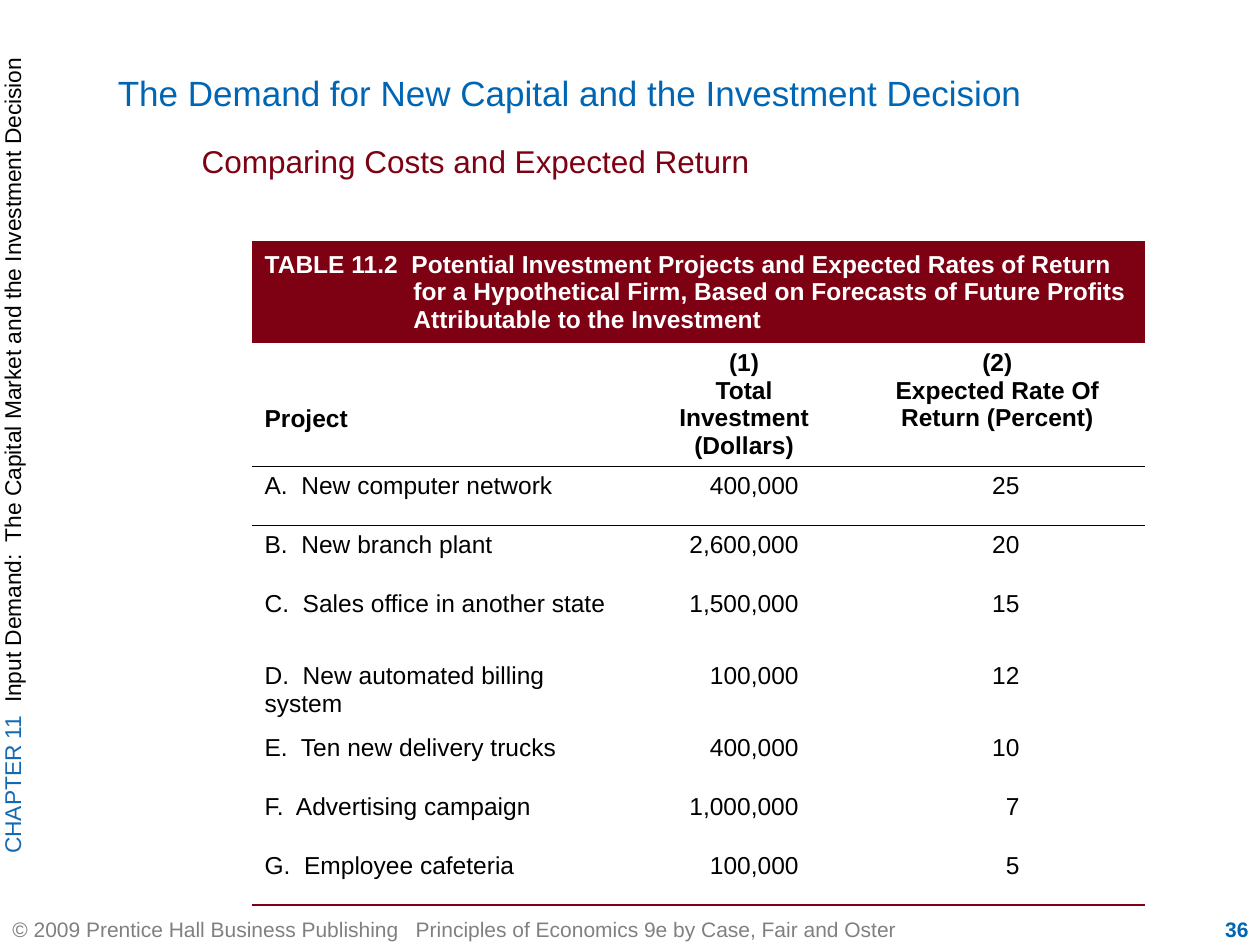
from dataclasses import dataclass

from lxml.etree import SubElement
from pptx import Presentation
from pptx.dml.color import RGBColor
from pptx.enum.text import MSO_ANCHOR as Anchor, MSO_AUTO_SIZE as AutoSize, PP_ALIGN as Align
from pptx.oxml.ns import qn
from pptx.util import Cm, Pt


@dataclass(frozen=True)
class Theme:
    font: str = "Arial"
    blue: str = "0066B3"
    chapter_blue: str = "1469B2"
    maroon: str = "7D0013"
    black: str = "000000"
    gray: str = "808080"
    white: str = "FFFFFF"
    title_size: int = 20
    subtitle_size: int = 18
    table_size: int = 14
    chapter_size: int = 13
    footer_size: int = 12


THEME = Theme()

CHAPTER = [
    ("CHAPTER 11  ", THEME.chapter_blue),
    ("Input Demand:  The Capital Market and the Investment Decision", THEME.black),
]
TITLE = "The Demand for New Capital and the Investment Decision"
SUBTITLE = "Comparing Costs and Expected Return"
FOOTER = ("© 2009 Prentice Hall Business Publishing   "
          "Principles of Economics 9e by Case, Fair and Oster")
PAGE_NUMBER = "36"

CAPTION = ("TABLE 11.2  Potential Investment Projects and Expected Rates of Return "
           "for a Hypothetical Firm, Based on Forecasts of Future Profits "
           "Attributable to the Investment")
HEADERS = ["Project", "(1)\vTotal Investment\v(Dollars)", "",
           "(2)\vExpected Rate Of\vReturn (Percent)"]
PROJECTS = [
    ("A.  New computer network", "400,000", "25"),
    ("B.  New branch plant", "2,600,000", "20"),
    ("C.  Sales office in another state", "1,500,000", "15"),
    ("D.  New automated billing system", "100,000", "12"),
    ("E.  Ten new delivery trucks", "400,000", "10"),
    ("F.  Advertising campaign", "1,000,000", "7"),
    ("G.  Employee cafeteria", "100,000", "5"),
]

COLUMN_WIDTHS = [7.8, 4.24, 0.61, 5.36]
CAPTION_HEIGHT, HEADER_HEIGHT = 2.06, 2.46
PROJECT_HEIGHT, WRAPPED_HEIGHT = 1.19, 1.45
WRAP_LENGTH = 32  # a project name this long takes two lines
ROW_HEIGHTS = [CAPTION_HEIGHT, HEADER_HEIGHT] + [
    WRAPPED_HEIGHT if len(name) >= WRAP_LENGTH else PROJECT_HEIGHT
    for name, _, _ in PROJECTS]
TABLE_LEFT, TABLE_TOP = 5.08, 4.86
HANGING_INDENT = 3.0
NO_STYLE_NO_GRID = "{2D5ABB26-0587-4C30-8999-92F81FD0307C}"


def style(paragraph, size, color=None, bold=False, align=Align.LEFT):
    paragraph.alignment = align
    paragraph.space_before = paragraph.space_after = Pt(0)
    font = paragraph.font
    font.name, font.size, font.bold = THEME.font, Pt(size), bold
    if color:
        font.color.rgb = RGBColor.from_string(color)


def place(shape, left, top, width, height):
    shape.left, shape.top, shape.width, shape.height = map(Cm, (left, top, width, height))


def set_hanging(paragraph, margin, indent):
    properties = paragraph._p.get_or_add_pPr()
    properties.set("marL", str(Cm(margin)))
    properties.set("indent", str(Cm(indent)))


def fill_text(shape, text, size, color, anchor, **options):
    frame = shape.text_frame
    frame.word_wrap, frame.auto_size = True, AutoSize.NONE
    frame.vertical_anchor = anchor
    frame.text = text
    style(frame.paragraphs[0], size, color, **options)
    return frame


def add_text(slide, box, *args, **options):
    return fill_text(slide.shapes.add_textbox(*map(Cm, box)), *args, **options)


def add_headings(slide):
    title = slide.shapes.title
    place(title, 2.12, 0, 23.28, 2.54)
    frame = fill_text(title, TITLE, THEME.title_size, THEME.blue, Anchor.BOTTOM)
    frame.margin_bottom = Cm(0.25)

    subtitle = slide.placeholders[1]
    place(subtitle, 3.81, 2.74, 20.52, 1.07)
    frame = fill_text(subtitle, SUBTITLE, THEME.subtitle_size, THEME.maroon, Anchor.TOP)
    paragraph = frame.paragraphs[0]
    set_hanging(paragraph, 0, 0)
    SubElement(paragraph._p.get_or_add_pPr(), qn("a:buNone"))


def add_chapter_strip(slide):
    """Chapter name along the left edge, reading upwards."""
    frame = add_text(slide, (-0.03, 0.2, 1.04, 17.98), "", THEME.chapter_size, None,
                     Anchor.TOP, align=Align.CENTER)
    frame.margin_left = frame.margin_right = 0
    frame._txBody.bodyPr.set("vert", "vert270")
    for text, color in CHAPTER:
        run = frame.paragraphs[0].add_run()
        run.text = text
        run.font.color.rgb = RGBColor.from_string(color)


def set_cell(cell, text, color=THEME.black, anchor=Anchor.TOP, **options):
    cell.text = text
    cell.vertical_anchor = anchor
    cell.fill.background()
    style(cell.text_frame.paragraphs[0], THEME.table_size, color, **options)


def rule_row(table, row, side, color, width):
    for column in range(len(table.columns)):
        properties = table.cell(row, column)._tc.get_or_add_tcPr()
        line = SubElement(properties, qn(f"a:{side}"), w=str(Pt(width)))
        solid = SubElement(line, qn("a:solidFill"))
        SubElement(solid, qn("a:srgbClr"), val=color)
        properties.insert(0, line)  # borders come before the fill


def add_project_table(slide):
    row_count, column_count = len(ROW_HEIGHTS), len(COLUMN_WIDTHS)
    table = slide.shapes.add_table(
        row_count, column_count, Cm(TABLE_LEFT), Cm(TABLE_TOP),
        Cm(sum(COLUMN_WIDTHS)), Cm(sum(ROW_HEIGHTS))).table
    table.first_row = table.horz_banding = False
    table._tbl.tblPr.find(qn("a:tableStyleId")).text = NO_STYLE_NO_GRID
    for column, width in zip(table.columns, COLUMN_WIDTHS):
        column.width = Cm(width)
    for row, height in zip(table.rows, ROW_HEIGHTS):
        row.height = Cm(height)

    caption = table.cell(0, 0)
    caption.merge(table.cell(0, column_count - 1))
    set_cell(caption, CAPTION, THEME.white, Anchor.MIDDLE, bold=True)
    caption.fill.solid()
    caption.fill.fore_color.rgb = RGBColor.from_string(THEME.maroon)
    set_hanging(caption.text_frame.paragraphs[0], HANGING_INDENT, -HANGING_INDENT)

    project, investment, rate = (table.cell(1, column) for column in range(3))
    rate.merge(table.cell(1, 3))
    set_cell(project, HEADERS[0], anchor=Anchor.BOTTOM, bold=True)
    project.margin_bottom = Cm(0.68)
    set_cell(investment, HEADERS[1], bold=True, align=Align.CENTER)
    set_cell(rate, HEADERS[3], bold=True, align=Align.CENTER)

    for row, (name, dollars, percent) in enumerate(PROJECTS, start=2):
        set_cell(table.cell(row, 0), name)
        set_cell(table.cell(row, 2), "")
        for column, value, margin in ((1, dollars, 1.02), (3, percent, 2.54)):
            cell = table.cell(row, column)
            set_cell(cell, value, align=Align.RIGHT)
            cell.margin_right = Cm(margin)

    rule_row(table, 1, "lnB", THEME.black, 0.45)
    rule_row(table, 2, "lnT", THEME.black, 0.45)
    rule_row(table, row_count - 1, "lnB", THEME.maroon, 1.08)


def main():
    presentation = Presentation()
    presentation.slide_width, presentation.slide_height = Cm(25.4), Cm(19.05)
    slide = presentation.slides.add_slide(presentation.slide_layouts[1])
    add_chapter_strip(slide)
    add_text(slide, (0, 18.42, 23.28, 0.63), FOOTER, THEME.footer_size, THEME.gray,
             Anchor.MIDDLE)
    add_headings(slide)
    add_project_table(slide)
    add_text(slide, (22.86, 18.42, 2.56, 0.63), PAGE_NUMBER, THEME.footer_size, THEME.blue,
             Anchor.MIDDLE, bold=True, align=Align.RIGHT)
    presentation.save("out.pptx")


if __name__ == "__main__":
    main()
